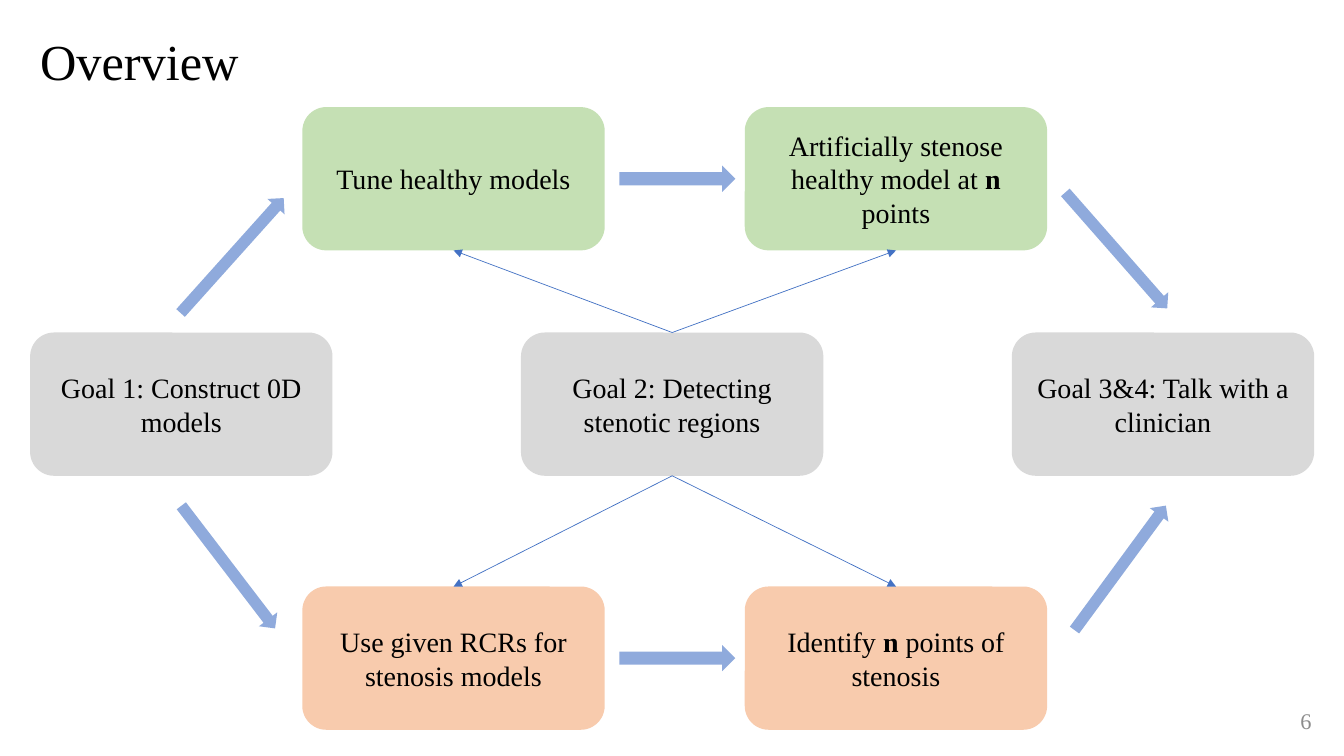
from lxml.etree import SubElement
from pptx import Presentation
from pptx.dml.color import RGBColor
from pptx.enum.shapes import MSO_CONNECTOR, MSO_SHAPE
from pptx.enum.text import MSO_ANCHOR, PP_ALIGN
from pptx.oxml.ns import qn
from pptx.util import Cm, Pt

FONT = "Times New Roman"
GREEN, ORANGE, GRAY = "C5E0B4", "F8CBAD", "D9D9D9"
ARROW_BLUE, LINE_BLUE = "8FAADC", "4472C4"
BOX_WIDTH, BOX_HEIGHT = 7.62, 3.61
TOP, BOTTOM = 0, 2


def color(value):
    return RGBColor.from_string(value)


def write(shape, text, size=20, fill="000000", align=PP_ALIGN.CENTER, anchor=MSO_ANCHOR.MIDDLE):
    frame = shape.text_frame
    frame.word_wrap = True
    frame.vertical_anchor = anchor
    paragraph = frame.paragraphs[0]
    paragraph.alignment = align
    for index, part in enumerate(text.split("**")):
        run = paragraph.add_run()
        run.text = part
        run.font.name = FONT
        run.font.size = Pt(size)
        run.font.bold = index % 2 == 1
        run.font.color.rgb = color(fill)


def add_text(slide, left, top, width, height, text, **style):
    write(slide.shapes.add_textbox(Cm(left), Cm(top), Cm(width), Cm(height)), text, **style)


def add_filled(slide, kind, left, top, width, height, fill):
    shape = slide.shapes.add_shape(kind, Cm(left), Cm(top), Cm(width), Cm(height))
    shape.shadow.inherit = False
    shape.fill.solid()
    shape.fill.fore_color.rgb = color(fill)
    shape.line.fill.background()
    return shape


def add_step(slide, left, top, text, fill):
    step = add_filled(slide, MSO_SHAPE.ROUNDED_RECTANGLE, left, top, BOX_WIDTH, BOX_HEIGHT, fill)
    write(step, text)
    return step


def add_arrow(slide, center_x, center_y, angle, width=0.58, length=3.89):
    arrow = add_filled(slide, MSO_SHAPE.UP_ARROW, center_x - width / 2, center_y - length / 2,
                       width, length, ARROW_BLUE)
    arrow.rotation = angle


def add_link(slide, start, start_side, end, end_side):
    link = slide.shapes.add_connector(MSO_CONNECTOR.STRAIGHT, 0, 0, 0, 0)
    link.begin_connect(start, start_side)
    link.end_connect(end, end_side)
    link.line.color.rgb = color(LINE_BLUE)
    link.line.width = Pt(0.5)
    SubElement(link.line._get_or_add_ln(), qn("a:tailEnd"), type="triangle")
    SubElement(link._element.spPr, qn("a:effectLst"))


def add_process_row(slide, left, top, texts, fill):
    steps = [add_step(slide, left + 11.15 * index, top, text, fill)
             for index, text in enumerate(texts)]
    add_arrow(slide, left + 9.45, top + BOX_HEIGHT / 2, 90, width=0.66, length=2.92)
    return steps


def add_goal_row(slide, left, top, width, texts):
    pitch = (width - BOX_WIDTH) / (len(texts) - 1)
    return [add_step(slide, left + pitch * index, top, text, GRAY)
            for index, text in enumerate(texts)]


def add_overview(slide, left, top, width, height):
    healthy = add_process_row(slide, left + 6.86, top, [
        "Tune healthy models", "Artificially stenose healthy model at **n **points"], GREEN)
    stenosis = add_process_row(slide, left + 6.86, top + height - BOX_HEIGHT, [
        "Use given RCRs for stenosis models", "Identify **n** points of stenosis"], ORANGE)
    goals = add_goal_row(slide, left, top + 5.68, width, [
        "Goal 1: Construct 0D models", "Goal 2: Detecting stenotic regions",
        "Goal 3&4: Talk with a clinician"])
    for x, y, angle in [(5.09, 3.74, 41.9), (4.99, 11.59, 142.6),
                        (27.37, 3.61, 138.7), (27.47, 11.61, 36.3)]:
        add_arrow(slide, left + x, top + y, angle)
    for step in healthy:
        add_link(slide, goals[1], TOP, step, BOTTOM)
    for step in stenosis:
        add_link(slide, goals[1], BOTTOM, step, TOP)


def main():
    presentation = Presentation()
    presentation.slide_width, presentation.slide_height = Cm(33.87), Cm(19.05)
    slide = presentation.slides.add_slide(presentation.slide_layouts[6])
    add_text(slide, 0.76, 0.64, 16.18, 1.8, "Overview", size=36,
             align=PP_ALIGN.LEFT, anchor=MSO_ANCHOR.TOP)
    add_overview(slide, 0.76, 2.7, 32.36, 15.69)
    add_text(slide, 25.68, 17.65, 7.62, 1.02, "6", size=16, fill="8C8C8C", align=PP_ALIGN.RIGHT)
    presentation.save("out.pptx")


if __name__ == "__main__":
    main()
